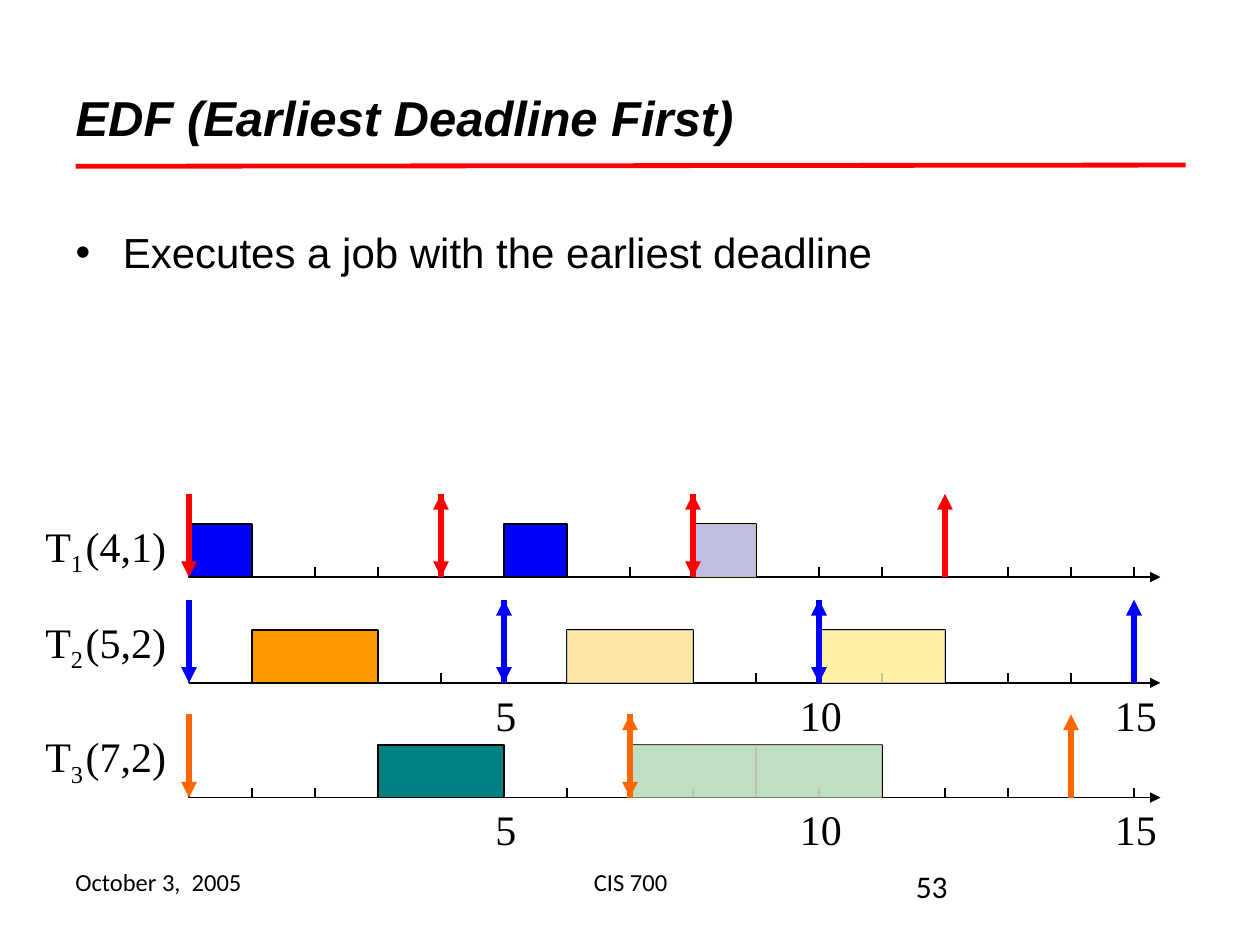
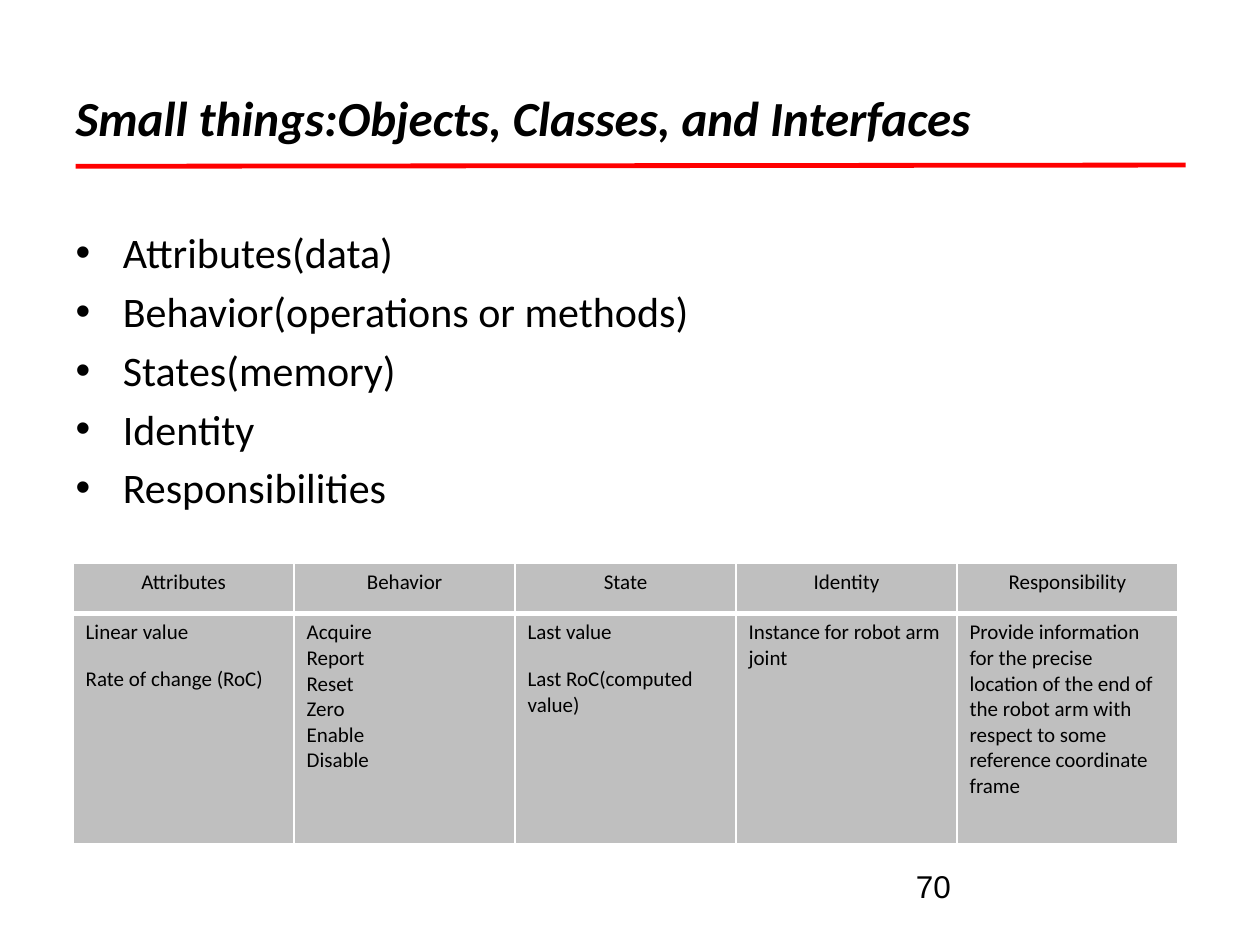
from dataclasses import dataclass
from typing import NamedTuple

import lxml.etree
import pptx
import pptx.dml.color
import pptx.enum.shapes
import pptx.enum.text
import pptx.oxml.ns
import pptx.util

Inches = pptx.util.Inches
Pt = pptx.util.Pt
qn = pptx.oxml.ns.qn
ALIGN = pptx.enum.text.PP_ALIGN


@dataclass(frozen=True)
class Theme:
    ink: str = "000000"
    white: str = "FFFFFF"
    red: str = "FF0000"
    blue: str = "0000FF"
    orange: str = "FF6600"
    amber: str = "FF9900"
    gold: str = "FFCC00"
    teal: str = "008080"
    veil: str = "FFFFDB"
    gray: str = "BFBFBF"
    sans: str = "Arial"
    main: str = "Calibri"
    serif: str = "Times New Roman"
    title: int = 28
    body: int = 24
    page: int = 18
    foot: int = 14
    cell: int = 12


THEME = Theme()
UNIT = 0.5  # inches for one step of time
LAST = 15
JOB = 0.42  # height of a job
TICK = 0.08


class Box(NamedTuple):
    x: float
    y: float
    w: float
    h: float

    def place(self):
        return [Inches(v) for v in self]


class Task(NamedTuple):
    name: str
    args: str
    period: int
    ends: int  # number of deadlines shown
    starts: int  # number of releases shown
    arrow: str
    done: list  # jobs as (start, length, colour)
    late: list  # veiled jobs over the axis
    back: list  # veiled jobs behind the axis
    skip: tuple  # ticks left out
    rise: float  # label top above the axis
    marks: bool


def color(code):
    return pptx.dml.color.RGBColor.from_string(code)


def say(frame, text, font=THEME.main, size=THEME.body, align=ALIGN.LEFT,
        bold=False, italic=False, gap=0, sub=""):
    """Fill a text frame, one paragraph for each line of text."""
    for i, line in enumerate(text.split("\n")):
        para = frame.add_paragraph() if i else frame.paragraphs[0]
        para.alignment = align
        para.space_before = Pt(gap if i else 0)
        for part in filter(None, (line, sub)):
            run = para.add_run()
            run.text = part
            run.font.name, run.font.size = font, Pt(size)
            run.font.bold, run.font.italic = bold, italic
            run.font.color.rgb = color(THEME.ink)
            if part is sub:
                run._r.get_or_add_rPr().set("baseline", "-25000")


def label(slide, box, text, wrap=False, **style):
    frame = slide.shapes.add_textbox(*box.place()).text_frame
    frame.word_wrap = wrap
    say(frame, text, **style)


def rule(slide, x1, y1, x2, y2, tint=THEME.ink, width=0.75, tip=None):
    """Draw a line; tip is headEnd or tailEnd."""
    line = slide.shapes.add_connector(
        pptx.enum.shapes.MSO_CONNECTOR.STRAIGHT,
        *[Inches(v) for v in (x1, y1, x2, y2)])
    line.line.color.rgb = color(tint)
    line.line.width = Pt(width)
    props = line._element.spPr
    if tip:
        lxml.etree.SubElement(props.find(qn("a:ln")), qn("a:" + tip),
                              type="triangle")
    lxml.etree.SubElement(props, qn("a:effectLst"))


def block(slide, box, tint, alpha=None):
    """Draw an outlined rectangle, or a see-through one without outline."""
    shape = slide.shapes.add_shape(
        pptx.enum.shapes.MSO_SHAPE.RECTANGLE, *box.place())
    shape.shadow.inherit = False
    shape.fill.solid()
    shape.fill.fore_color.rgb = color(tint)
    if alpha:
        shape.line.fill.background()
        fill = shape._element.spPr.find(".//" + qn("a:srgbClr"))
        lxml.etree.SubElement(fill, qn("a:alpha"), val=str(alpha * 1000))
    else:
        shape.line.color.rgb = color(THEME.ink)
        shape.line.width = Pt(1)


def axis(slide, box, skip):
    base = box.y + box.h
    end = box.x + box.w
    rule(slide, box.x, base, end - 0.17, base)
    for step in range(LAST + 1):
        if step not in skip:
            x = box.x + step * UNIT
            rule(slide, x, base - TICK, x, base)
    rule(slide, end - 0.25, base, end, base, tip="tailEnd")


def row(slide, box, task):
    """Draw the time line of one task, its axis on the foot of the box."""
    base = box.y + box.h

    def span(start, length):
        return Box(box.x + start * UNIT, base - JOB, length * UNIT, JOB)

    for start, length, tint in task.back:
        block(slide, span(start, length), tint)
    axis(slide, box, task.skip)
    for start, length, tint in task.done + task.late:
        block(slide, span(start, length), tint)
    for start, length, _ in task.late + task.back:
        for step in range(start, start + length):
            block(slide, span(step, 1), THEME.veil, alpha=75)

    starts = [(n, "tailEnd") for n in range(task.starts)]
    ends = [(n, "headEnd") for n in range(1, task.ends + 1)]
    for n, tip in starts + ends:
        x = box.x + n * task.period * UNIT
        rule(slide, x, box.y, x, base, task.arrow, 3, tip)

    style = dict(font=THEME.serif, align=ALIGN.CENTER)
    top = base - task.rise
    label(slide, Box(box.x - 0.92, top, 0.84, 0.5), task.args, **style)
    label(slide, Box(box.x - 1.25, top, 0.52, 0.5), task.name[0],
          sub=task.name[1], **style)
    if task.marks:
        for step in range(5, LAST + 1, 5):
            spot = Box(box.x + step * UNIT - 0.25, base, 0.53, 0.5)
            label(slide, spot, str(step), **style)


def base_slide(deck, title, points, page, font, page_font):
    """Add a slide with title, red rule, list and page number."""
    slide = deck.slides.add_slide(deck.slide_layouts[1])
    head, body = slide.placeholders
    parts = ((head, Box(0.5, 0.3, 9, 1.25)), (body, Box(0.5, 1.75, 9, 4.95)))
    for part, box in parts:
        part.left, part.top, part.width, part.height = box.place()
        part.text_frame.auto_size = pptx.enum.text.MSO_AUTO_SIZE.NONE
    say(head.text_frame, title, font=font, size=THEME.title,
        bold=True, italic=True)
    say(body.text_frame, points, font=font, gap=4.8)
    rule(slide, 0.6, 1.32, 9.41, 1.31, THEME.red, 2.75)
    label(slide, Box(7.17, 6.83, 2.33, 0.52), page, wrap=True,
          font=page_font, size=THEME.page)
    return slide


def foot(slide, box, date, course):
    label(slide, Box(box.x, box.y, 2.33, box.h), date, wrap=True,
          size=THEME.foot)
    label(slide, Box(box.x + 2.92, box.y, 3.17, box.h), course, wrap=True,
          size=THEME.foot, align=ALIGN.CENTER)


def edge(cell, **widths):
    """Give a cell white borders; L, R, T and B are widths in points."""
    props = cell._tc.get_or_add_tcPr()
    for i, (side, width) in enumerate(widths.items()):
        line = lxml.etree.Element(qn("a:ln" + side), w=str(Pt(width)))
        fill = lxml.etree.SubElement(line, qn("a:solidFill"))
        lxml.etree.SubElement(fill, qn("a:srgbClr"), val=THEME.white)
        props.insert(i, line)


def grid(slide, box, heads, cells, gaps):
    """Add a table with a head row and one row of cells."""
    table = slide.shapes.add_table(2, len(heads), *box.place()).table
    table.horz_banding = False
    table.rows[0].height = Inches(0.4)
    table.rows[1].height = Inches(box.h - 0.4)
    for col, texts in enumerate(zip(heads, cells)):
        table.columns[col].width = Inches(box.w / len(heads))
        for line, text in enumerate(texts):
            cell = table.cell(line, col)
            cell.fill.solid()
            cell.fill.fore_color.rgb = color(THEME.gray)
            edge(cell, L=1, R=1, T=1, B=1 if line else 3)
            say(cell.text_frame, text, size=THEME.cell, gap=gaps[col],
                align=ALIGN.LEFT if line else ALIGN.CENTER)


def edf(deck):
    slide = base_slide(deck, "EDF (Earliest Deadline First)",
                       "Executes a job with the earliest deadline",
                       "53", THEME.sans, THEME.main)
    tasks = {
        3.92: Task("T1", "(4,1)", 4, 3, 3, THEME.red,
                   done=[(0, 1, THEME.blue), (5, 1, THEME.blue)],
                   late=[(8, 1, THEME.blue)], back=[],
                   skip=(1,), rise=0.5, marks=False),
        4.76: Task("T2", "(5,2)", 5, 3, 3, THEME.blue,
                   done=[(1, 2, THEME.amber)],
                   late=[(6, 2, THEME.amber)], back=[(10, 2, THEME.gold)],
                   skip=(), rise=0.58, marks=True),
        5.67: Task("T3", "(7,2)", 7, 2, 2, THEME.orange,
                   done=[(3, 2, THEME.teal)], late=[],
                   back=[(9, 2, THEME.teal), (7, 2, THEME.teal)],
                   skip=(3, 4, 5), rise=0.58, marks=True),
    }
    for top, task in tasks.items():
        row(slide, Box(1.5, top, 7.71, 0.66), task)
    foot(slide, Box(0.5, 6.83, 6.09, 0.52), "October 3,\u00a0 2005".replace(
        "\u00a0", " "), "CIS 700")


def small(deck):
    points = ("Attributes(data)", "Behavior(operations or methods)",
              "States(memory)", "Identity", "Responsibilities")
    slide = base_slide(deck, "Small things:Objects, Classes, and Interfaces",
                       "\n".join(points), "70", THEME.main, THEME.sans)
    grid(slide, Box(0.58, 4.47, 8.77, 2.23),
         ("Attributes", "Behavior", "State", "Identity", "Responsibility"),
         ("Linear value\nRate of change (RoC)",
          "Acquire\nReport\nReset\nZero\nEnable\nDisable",
          "Last value\nLast RoC(computed value)",
          "Instance for robot arm joint",
          "Provide information for the precise location of the end of "
          "the robot arm with respect to some reference coordinate frame"),
         gaps=(12, 0, 12, 0, 0))


def main():
    deck = pptx.Presentation()
    deck.slide_width, deck.slide_height = Inches(10), Inches(7.5)
    edf(deck)
    small(deck)
    deck.save("out.pptx")


if __name__ == "__main__":
    main()
